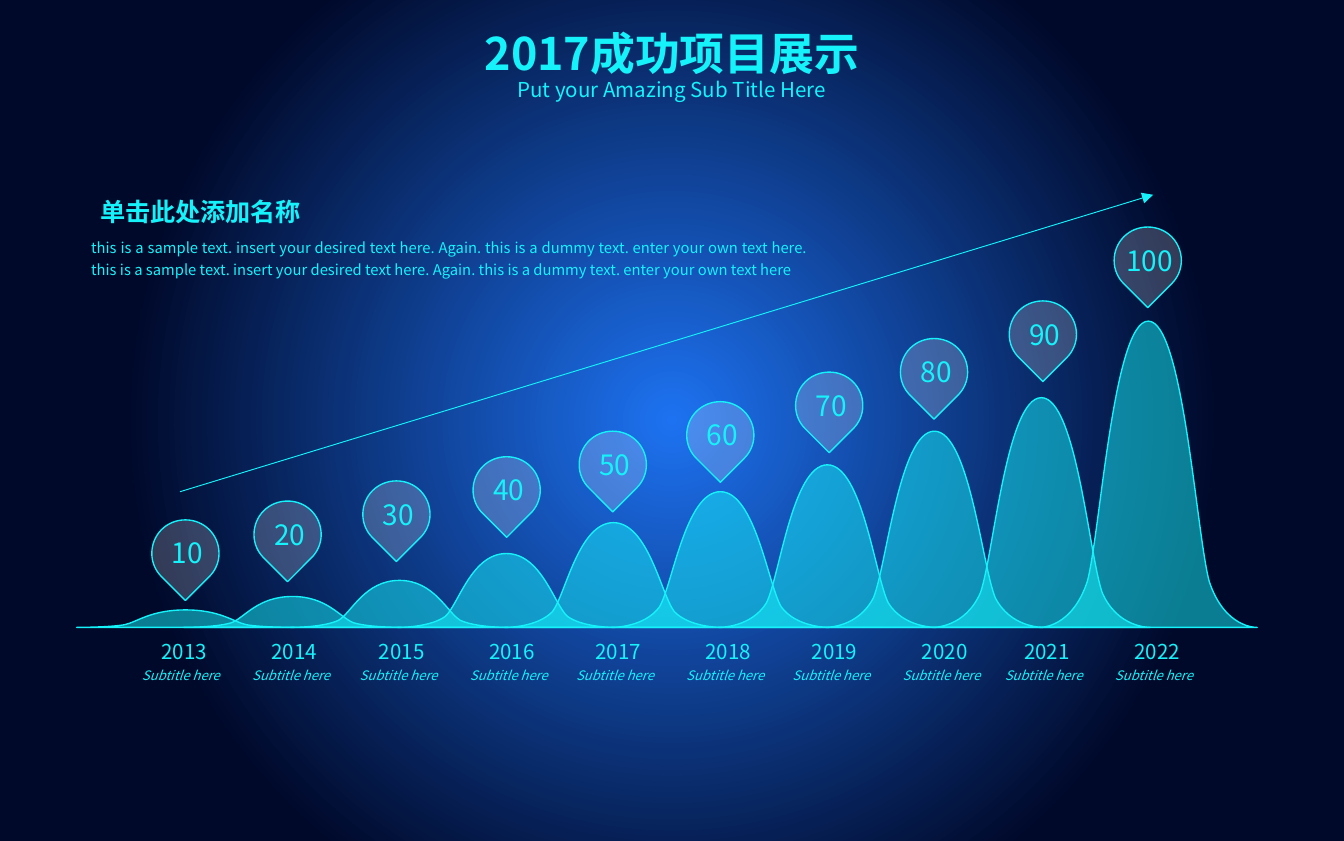
from lxml import etree
from pptx import Presentation
from pptx import util as u
from pptx.dml.color import RGBColor
from pptx.enum import shapes, text
from pptx.oxml.ns import qn

WIDE, HIGH = 10, 6.26
FONT, CYAN = "Noto Sans CJK SC", "15F2FA"
MID, LEFT, JUST = text.PP_ALIGN.CENTER, text.PP_ALIGN.LEFT, text.PP_ALIGN.JUSTIFY

# Hills: one column each, standing on a common base
START, STEP, SPAN, BASE = 0.57, 0.796, 1.62, 4.67
PEAKS = [0.13, 0.23, 0.35, 0.55, 0.78, 1.01, 1.21, 1.46, 1.71, 2.28]
# Left half of a hill, base to peak, as Bezier points in shares of span and peak
RISE = [(-0.5, 0), (-0.49, 0), (-0.35, 0), (-0.28, 0.15),
        (-0.22, 0.31), (-0.16, 1), (0, 1)]

# Pins: centre and top of each
PINS = [(1.38, 3.87), (2.14, 3.73), (2.95, 3.58), (3.77, 3.4), (4.56, 3.21),
        (5.36, 2.99), (6.17, 2.77), (6.95, 2.52), (7.76, 2.24), (8.54, 1.69)]
# Right half of a pin, top to tip, as Bezier points in inches
DROP = [(0, 0), (0.14, 0), (0.25, 0.11), (0.25, 0.25), (0.25, 0.32),
        (0.22, 0.38), (0.18, 0.42), (0.18, 0.42), (0, 0.6), (0, 0.6)]
YEARS = [1.37, 2.19, 2.99, 3.81, 4.6, 5.42, 6.21, 7.03, 7.79, 8.61]

BODY = ("this is a sample text. insert your desired text here. Again. "
        "this is a dummy text. enter your own text here")


def color(code):
    return RGBColor.from_string(code)


def backdrop(slide):
    fill = slide.background.fill
    fill.gradient()
    for stop, (place, code) in zip(fill.gradient_stops, [(0, "1D72F1"), (0.69, "00092A")]):
        stop.position = place
        stop.color.rgb = color(code)
    grad = next(slide.element.iter(qn("a:gradFill")))
    grad.remove(grad.find(qn("a:lin")))
    ring = etree.SubElement(grad, qn("a:path"), path="circle")
    etree.SubElement(ring, qn("a:fillToRect"), l="50000", t="50000", r="50000", b="50000")


def label(home, box, words, size, align=MID, wrap=False, inset=(0.1, 0.05),
          bold=False, slant=False, pitch=None):
    frame = home.add_textbox(*map(u.Inches, box)).text_frame
    frame.word_wrap = wrap
    frame.margin_left = frame.margin_right = u.Inches(inset[0])
    frame.margin_top = frame.margin_bottom = u.Inches(inset[1])
    para = frame.paragraphs[0]
    para.text = words
    para.alignment = align
    if pitch:
        para.line_spacing = u.Pt(pitch)
    font = para.font
    font.name, font.size = FONT, u.Pt(size)
    font.bold, font.italic = bold, slant
    font.color.rgb = color(CYAN)
    # East Asian letters need their own typeface entry
    props = next(para._p.iter(qn("a:defRPr")))
    etree.SubElement(props, qn("a:ea"), typeface=FONT)


def curve(home, half, mid, top, scale, code, alpha):
    """Draw a half outline and its mirror image as one closed Bezier shape."""
    whole = half + [(-x, y) for x, y in reversed(half[:-1])]
    dots = [(u.Inches(mid + x * scale[0]), u.Inches(top + y * scale[1])) for x, y in whole]
    pen = home.build_freeform(*dots[0], scale=1.0)
    pen.add_line_segments(dots[1:], close=True)
    shape = pen.convert_to_shape()
    bend(next(shape.element.iter(qn("a:path"))))
    shape.shadow.inherit = False
    shape.fill.solid()
    shape.fill.fore_color.rgb = color(code)
    tint = next(shape.element.iter(qn("a:srgbClr")))
    etree.SubElement(tint, qn("a:alpha"), val=str(alpha * 1000))
    shape.line.color.rgb = color(CYAN)
    shape.line.width = u.Pt(0.75)


def bend(track):
    """Turn each three straight segments into one Bezier segment."""
    lines = track.findall(qn("a:lnTo"))
    for k in range(0, len(lines), 3):
        arc = etree.SubElement(track, qn("a:cubicBezTo"))
        for line in lines[k:k + 3]:
            arc.append(line[0])
            track.remove(line)
    track.append(track.find(qn("a:close")))


def hill(home, col):
    mid = START + col * STEP + SPAN / 2
    curve(home, RISE, mid, BASE, (SPAN, -PEAKS[col]), CYAN, 50)


def pin(slide, mid, top, value):
    home = slide.shapes.add_group_shape().shapes
    curve(home, DROP, mid, top, (1, 1), "FFFFFF", 20)
    label(home, (mid - 0.24, top + 0.08, 0.51, 0.33), str(value), 15, inset=(0.07, 0.04))


def caption(slide, mid, year):
    home = slide.shapes.add_group_shape().shapes
    label(home, (mid - 0.28, 4.71, 0.56, 0.28), str(year), 11)
    label(home, (mid - 0.42, 4.92, 0.79, 0.22), "Subtitle here", 7, slant=True)


def arrow(home, ends):
    line = home.add_connector(shapes.MSO_CONNECTOR.STRAIGHT, *map(u.Inches, ends))
    line.line.color.rgb = color(CYAN)
    line.line.width = u.Pt(0.5)
    stroke = next(line.element.iter(qn("a:ln")))
    etree.SubElement(stroke, qn("a:tailEnd"), type="triangle")
    etree.SubElement(line.element.spPr, qn("a:effectLst"))


def main():
    deck = Presentation()
    deck.slide_width, deck.slide_height = u.Inches(WIDE), u.Inches(HIGH)
    slide = deck.slides.add_slide(deck.slide_layouts[6])
    home = slide.shapes
    backdrop(slide)

    # Heading
    label(home, (2.05, 0.19, 5.9, 0.4), "2017成功项目展示", 24, wrap=True, inset=(0, 0), bold=True)
    label(home, (2.9, 0.57, 4.2, 0.18), "Put your Amazing Sub Title Here", 11,
          wrap=True, inset=(0, 0))

    # Hills, the last one at the back
    for col in [len(PEAKS) - 1, *range(len(PEAKS) - 1)]:
        hill(home, col)

    # Years below the base
    for year, mid in enumerate(YEARS, 2013):
        caption(slide, mid, year)

    # Intro text
    intro = home.add_group_shape().shapes
    label(intro, (0.58, 1.69, 5.52, 0.6), f"{BODY}. {BODY}", 7.9, JUST, wrap=True, pitch=12)
    label(intro, (0.65, 1.41, 1.7, 0.33), "单击此处添加名称", 13.5, LEFT, bold=True)

    # Value pins and the trend arrow
    for rank, (mid, top) in enumerate(PINS, 1):
        pin(slide, mid, top, rank * 10)
    arrow(home, (1.34, 3.66, 8.58, 1.45))

    deck.save("out.pptx")


if __name__ == "__main__":
    main()
